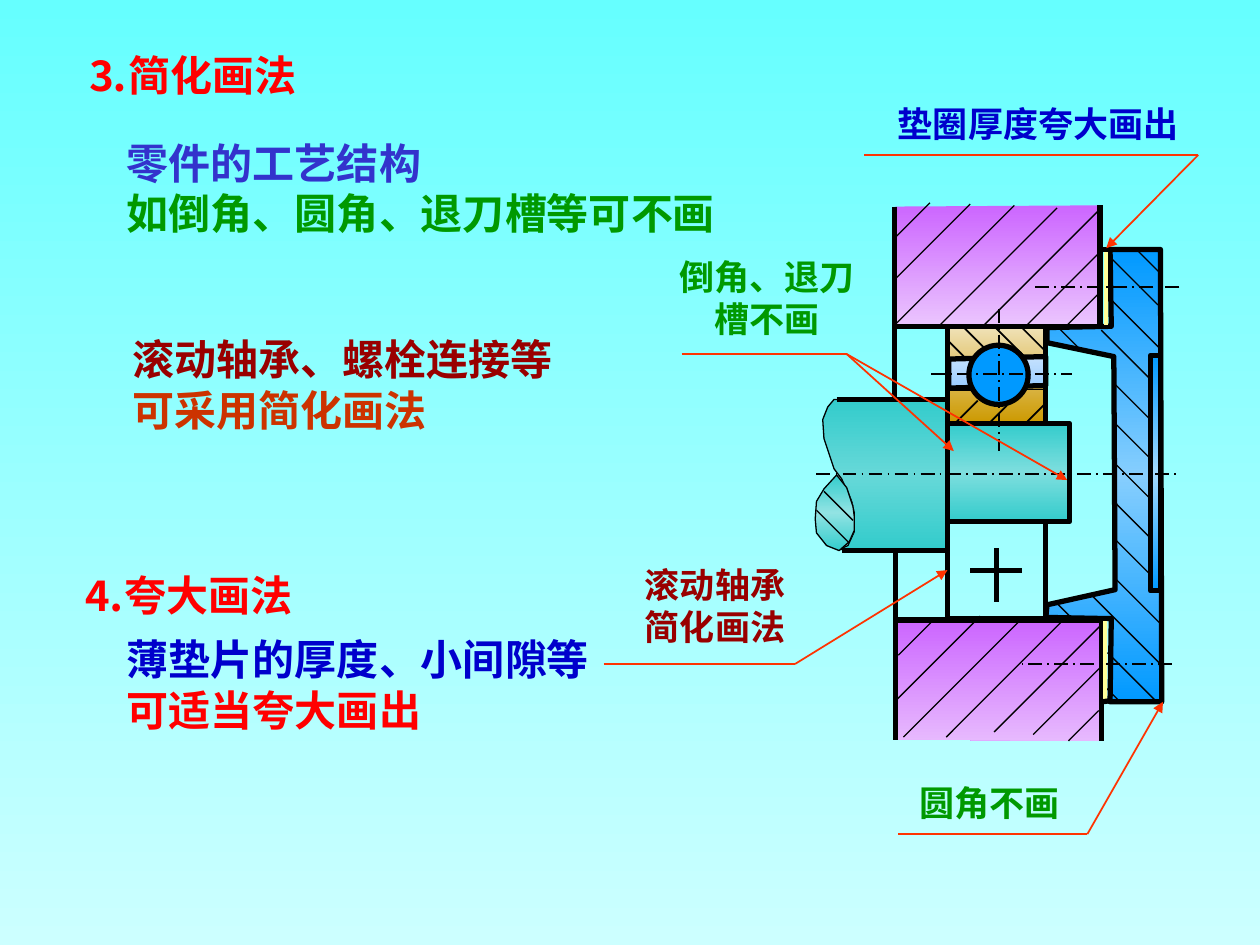
import copy
from dataclasses import dataclass

import lxml.etree
import pptx
import pptx.dml.color
import pptx.enum.dml
import pptx.enum.shapes
import pptx.enum.text
import pptx.oxml.ns
import pptx.util
from pptx.util import Inches

SHAPES = pptx.enum.shapes.MSO_SHAPE
ALIGN = pptx.enum.text.PP_ALIGN


@dataclass(frozen=True)
class Theme:
    font = "Noto Sans CJK SC"
    note_size, label_size = 24, 20
    bold_line, thin_line, fine_line, gasket_line = 3, 0.75, 1, 2.25
    red, blue, navy, green = "FF0000", "3333CC", "0000CC", "009900"
    maroon, rust, ink, leader, gasket = "990000", "CC3300", "000000", "FF3300", "FFFF99"
    sky = ("66FFFF", "CCFFFF")
    cover = ("0099FF", "86CEFE", "0099FF")
    recess = ("0099FF", "A4DAFE", "0099FF")
    journal = ("33CCCC", "7EDEDE", "33CCCC")
    shaft = ("33CCCC", "66D8D8", "33CCCC")
    broken_end = ("33CCCC", "92E3E3", "33CCCC")
    race = ("F0E2B8", "CC9900")
    cage = ("C6E2FE", "99CCFF")
    upper_housing, lower_housing = ("CC66FF", "EBC5FE"), ("CC66FF", "E7B9FE")
    ball = ("0099FF",)


@dataclass(frozen=True)
class Box:
    left: float
    top: float
    width: float
    height: float

    def at(self, x, y):
        return Inches(self.left + x), Inches(self.top + y)

    def lengths(self):
        return [Inches(v) for v in (self.left, self.top, self.width, self.height)]


THEME = Theme()


def rgb(colour):
    return pptx.dml.color.RGBColor.from_string(colour)


def apply_format(target, values):
    for name, value in values.items():
        setattr(target, name, value)


def paint(fill, colours, element):
    if not colours:
        fill.background()
    elif len(colours) == 1:
        fill.solid()
        fill.fore_color.rgb = rgb(colours[0])
    else:
        fill.gradient()
        fill.gradient_angle = 270
        stops = element.xpath(".//a:gsLst")[0]
        for _ in colours[2:]:
            stops.insert(1, copy.deepcopy(stops[0]))
        for index, (stop, colour) in enumerate(zip(fill.gradient_stops, colours)):
            stop.position = index / (len(colours) - 1)
            stop.color.rgb = rgb(colour)


def finish(part, colours, weight):
    part.shadow.inherit = False
    paint(part.fill, colours, part._element)
    part.line.width = pptx.util.Pt(weight)
    part.line.color.rgb = rgb(THEME.ink)
    return part


def preset(slide, box, kind, x, y, width, height, colours):
    part = slide.shapes.add_shape(kind, *box.at(x, y), Inches(width), Inches(height))
    return finish(part, colours, THEME.bold_line)


def outline(slide, box, points, colours, weight=THEME.bold_line, close=True):
    corners = [box.at(*point) for point in points]
    builder = slide.shapes.build_freeform(*corners[0])
    builder.add_line_segments(corners[1:], close=close)
    return finish(builder.convert_to_shape(), colours, weight)


def stroke(slide, box, start, end, weight=THEME.bold_line, colour=THEME.ink, arrow=False, dash=None):
    line = slide.shapes.add_connector(
        pptx.enum.shapes.MSO_CONNECTOR.STRAIGHT, *box.at(*start), *box.at(*end))
    line.line.width = pptx.util.Pt(weight)
    line.line.color.rgb = rgb(colour)
    if dash:
        line.line.dash_style = dash
    properties = line._element.spPr
    if arrow:
        lxml.etree.SubElement(properties.find(pptx.oxml.ns.qn("a:ln")),
                              pptx.oxml.ns.qn("a:tailEnd"), type="triangle")
    lxml.etree.SubElement(properties, pptx.oxml.ns.qn("a:effectLst"))
    return line


def centre_line(slide, box, start, end):
    stroke(slide, box, start, end, THEME.fine_line, dash=pptx.enum.dml.MSO_LINE.LONG_DASH_DOT)


def hatch(slide, box, starts, direction, weight=THEME.thin_line):
    for x, y, reach in starts:
        stroke(slide, box, (x, y), (x + reach, y + direction * reach), weight)


def write(frame, lines, size, align=ALIGN.LEFT):
    apply_format(frame, {
        "word_wrap": True, "vertical_anchor": pptx.enum.text.MSO_ANCHOR.MIDDLE,
        "auto_size": pptx.enum.text.MSO_AUTO_SIZE.SHAPE_TO_FIT_TEXT})
    for index, (words, colour) in enumerate(lines):
        paragraph = frame.add_paragraph() if index else frame.paragraphs[0]
        paragraph.alignment = align
        run = paragraph.add_run()
        run.text = words
        run.font.color.rgb = rgb(colour)
        apply_format(run.font, {"size": pptx.util.Pt(size), "bold": True, "name": THEME.font})
        lxml.etree.SubElement(run._r.get_or_add_rPr(), pptx.oxml.ns.qn("a:ea"), typeface=THEME.font)


def heading(slide, box, words):
    title = slide.shapes.title
    apply_format(title, dict(zip(("left", "top", "width", "height"), box.lengths())))
    write(title.text_frame, [(words, THEME.red)], THEME.note_size, ALIGN.CENTER)


def note(slide, box, lines):
    write(slide.shapes.add_textbox(*box.lengths()).text_frame, lines, THEME.note_size)


def callout(slide, box, lines, shelf, elbow, tips, target=None):
    for tip in tips:
        leader = stroke(slide, box, elbow, tip, THEME.fine_line, THEME.leader, arrow=True)
        if target is not None:
            leader.end_connect(target, 1)
    stroke(slide, box, shelf, elbow, THEME.fine_line, THEME.leader)
    label = slide.shapes.add_textbox(*box.lengths())
    write(label.text_frame, lines, THEME.label_size, ALIGN.CENTER)


def end_cover(slide, box):
    outline(slide, box, [(2.81, .98), (3.21, .98), (3.22, 4.57), (2.81, 4.57), (2.82, 3.91),
                         (2.3, 3.9), (2.31, 3.8), (2.85, 3.68), (2.84, 1.83), (2.31, 1.72),
                         (2.31, 1.6), (2.82, 1.59)], THEME.cover)
    preset(slide, box, SHAPES.RECTANGLE, 3.13, 1.82, .08, 1.87, THEME.recess)
    hatch(slide, box, [
        (3.01, .97, .21), (2.78, 1.01, .41), (2.82, 1.38, .4), (2.74, 1.62, .39),
        (2.38, 1.58, .2), (2.84, 2.04, .3), (2.86, 2.37, .28), (2.85, 2.68, .29),
        (2.84, 2.98, .29), (2.85, 3.28, .29), (2.84, 3.58, .37), (2.67, 3.73, .55),
        (2.39, 3.79, .12), (2.79, 4.18, .38), (2.75, 4.43, .15)], 1)


def stepped_shaft(slide, box):
    preset(slide, box, SHAPES.RECTANGLE, 1.52, 2.36, .97, .78, THEME.journal)
    outline(slide, box, [(.62, 2.17), (1.53, 2.17), (1.53, 3.36), (.66, 3.36), (.73, 3.33),
                         (.78, 3.22), (.78, 3.07), (.76, 2.98), (.74, 2.93), (.68, 2.8),
                         (.62, 2.72), (.54, 2.48), (.53, 2.33), (.57, 2.23)],
            THEME.shaft, THEME.thin_line)
    outline(slide, box, [(.66, 3.37), (.56, 3.33), (.48, 3.23), (.47, 3.12), (.48, 2.98),
                         (.54, 2.88), (.64, 2.77), (.72, 2.87), (.77, 3.02), (.78, 3.1),
                         (.78, 3.21), (.74, 3.3)], THEME.broken_end, THEME.thin_line)
    hatch(slide, box, [(.54, 2.9, .23), (.48, 3.05, .26)], 1)
    for start, end in [((.68, 3.37), (1.52, 3.37)), ((.64, 2.17), (1.51, 2.17)),
                       ((1.52, 2.32), (1.52, 3.2))]:
        stroke(slide, box, start, end)


def rolling_bearing(slide, box):
    preset(slide, box, SHAPES.RECTANGLE, 1.52, 1.59, .78, .77, THEME.race)
    simplified = preset(slide, box, SHAPES.RECTANGLE, 1.52, 3.14, .78, .77, None)
    outline(slide, box, [(1.53, 1.85), (2.3, 1.83), (2.3, 2.06), (1.53, 2.08)], THEME.cage)
    for start, end in [((1.53, 2.1), (1.73, 2.1)), ((2.13, 2.09), (2.32, 2.09))]:
        stroke(slide, box, start, end, THEME.thin_line)
    hatch(slide, box, [(2.11, 1.6, .2), (1.9, 1.6, .24), (1.65, 1.6, .16), (1.51, 1.69, .15)],
          1, THEME.fine_line)
    hatch(slide, box, [(1.86, 2.35, .13), (2.13, 2.37, .18), (1.59, 2.35, .17)],
          -1, THEME.fine_line)
    preset(slide, box, SHAPES.OVAL, 1.69, 1.74, .47, .47, THEME.ball)
    stroke(slide, box, (1.7, 3.53), (2.11, 3.53))
    stroke(slide, box, (1.91, 3.35), (1.91, 3.78))
    return simplified


def housing(slide, box):
    outline(slide, box, [(1.11, 4.87), (1.11, 3.92), (2.74, 3.92), (2.74, 4.88)],
            THEME.lower_housing, close=False)
    outline(slide, box, [(1.1, .64), (1.1, 1.59), (2.73, 1.59), (2.73, .63)],
            THEME.upper_housing, close=False)
    stroke(slide, box, (1.1, 1.58), (1.1, 2.17))
    stroke(slide, box, (1.11, 3.97), (1.11, 3.36))
    hatch(slide, box, [
        (1.1, 1.58, .95), (1.1, 1.22, .6), (1.1, .89, .28), (1.45, 1.59, .94),
        (1.8, 1.59, .91), (2.14, 1.59, .59), (2.46, 1.59, .27),
        (1.13, 4.2, .28), (1.11, 4.56, .67), (1.17, 4.85, .93), (1.51, 4.85, .94),
        (1.89, 4.81, .85), (2.2, 4.83, .53), (2.48, 4.88, .24)], -1)


def gaskets_and_axes(slide, box):
    for start, end in [((2.77, 3.93), (2.77, 4.58)), ((2.78, .97), (2.78, 1.58))]:
        stroke(slide, box, start, end, THEME.gasket_line, THEME.gasket)
    stroke(slide, box, (2.82, 4.56), (2.75, 4.57))
    stroke(slide, box, (2.83, .98), (2.73, .98))
    for start, end in [((1.39, 1.97), (2.51, 1.97)), ((1.93, 1.45), (1.93, 2.58)),
                       ((3.36, 1.28), (2.19, 1.28)), ((3.3, 4.27), (2.11, 4.27)),
                       ((.48, 2.76), (3.33, 2.76))]:
        centre_line(slide, box, start, end)


def main():
    deck = pptx.Presentation()
    apply_format(deck, {"slide_width": Inches(10), "slide_height": Inches(7.5)})
    slide = deck.slides.add_slide(deck.slide_layouts.get_by_name("Title Only"))
    paint(slide.background.fill, THEME.sky, slide._element)

    heading(slide, Box(.44, .34, 2.16, .5), "⒊简化画法")
    note(slide, Box(.91, 1.04, 5.1, .9),
         [("零件的工艺结构", THEME.blue), ("如倒角、圆角、退刀槽等可不画", THEME.green)])
    note(slide, Box(.95, 2.6, 4, .9),
         [("滚动轴承、螺栓连接等", THEME.maroon), ("可采用简化画法", THEME.rust)])
    note(slide, Box(.56, 4.47, 2.51, .5), [("⒋夸大画法", THEME.red)])
    note(slide, Box(.91, 4.98, 4.64, .9),
         [("薄垫片的厚度、小间隙等", THEME.navy), ("可适当夸大画出", THEME.red)])

    assembly = Box(6, 1, 3.5, 5)
    end_cover(slide, assembly)
    stepped_shaft(slide, assembly)
    simplified_bearing = rolling_bearing(slide, assembly)
    housing(slide, assembly)
    gaskets_and_axes(slide, assembly)

    callout(slide, Box(4.85, 4.42, 1.65, .77),
            [("滚动轴承", THEME.maroon), ("简化画法", THEME.maroon)],
            (-.06, .85), (1.46, .85), [(2.66, .15)], target=simplified_bearing)
    callout(slide, Box(6.93, .76, 2.62, .44), [("垫圈厚度夸大画出", THEME.navy)],
            (-.07, .47), (2.58, .47), [(1.85, 1.21)])
    callout(slide, Box(7.1, 6.15, 1.51, .44), [("圆角不画", THEME.green)],
            (.03, .47), (1.53, .47), [(2.13, -.58)])
    callout(slide, Box(5.24, 1.98, 1.7, .77), [("倒角、退刀槽不画", THEME.green)],
            (.17, .83), (1.48, .83), [(3.23, 1.83), (2.33, 1.6)])
    deck.save("out.pptx")


if __name__ == "__main__":
    main()
